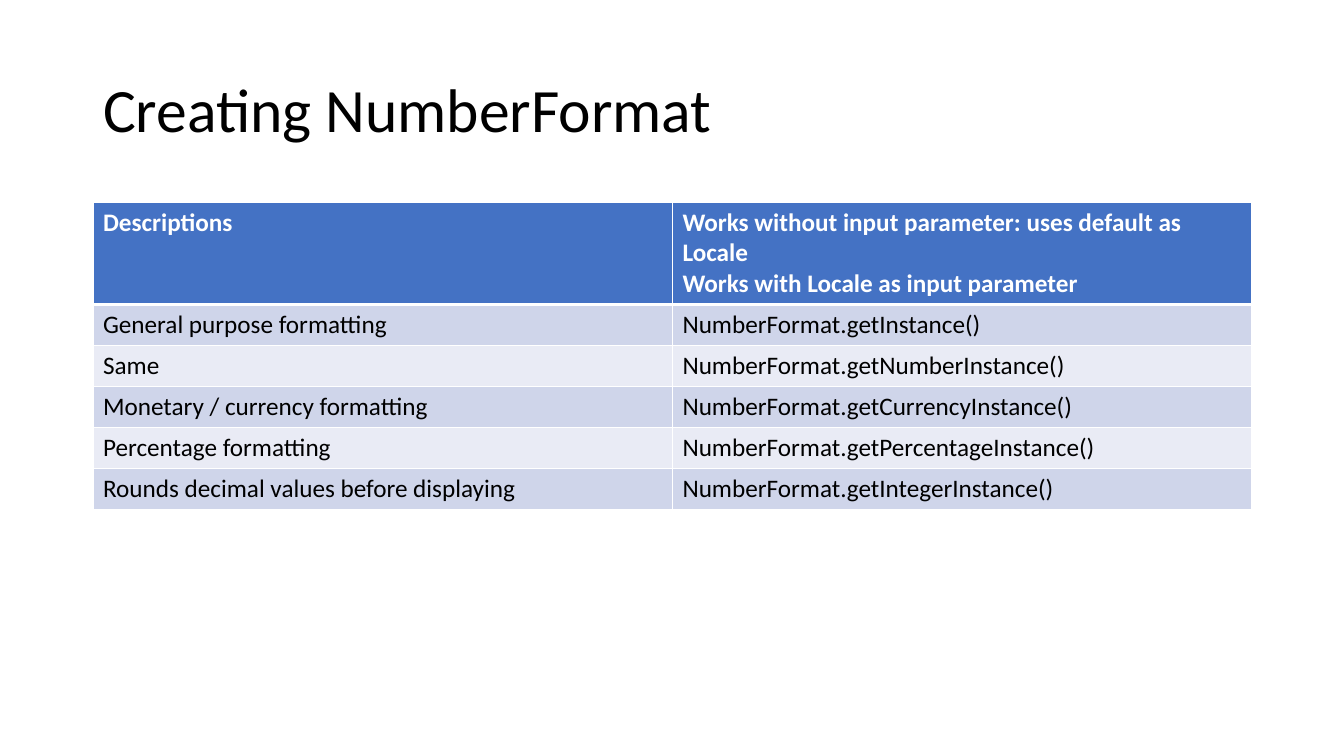
"""Build the slide on creating NumberFormat instances."""
import dataclasses

import lxml.etree
import pptx
import pptx.dml.color
import pptx.enum.text
import pptx.oxml.ns
import pptx.util

EMU_PER_PIXEL = 914400 / 100.8

HEADINGS = (
    "Descriptions",
    "Works without input parameter: uses default as Locale\n"
    "Works with Locale as input parameter",
)
FACTORY_METHODS = (
    ("General purpose formatting", "NumberFormat.getInstance()"),
    ("Same ", "NumberFormat.getNumberInstance()"),
    ("Monetary / currency formatting", "NumberFormat.getCurrencyInstance()"),
    ("Percentage formatting", "NumberFormat.getPercentageInstance()"),
    ("Rounds decimal values before displaying", "NumberFormat.getIntegerInstance()"),
)


@dataclasses.dataclass(frozen=True)
class Theme:
    """Colours, font and type sizes of the slide."""
    font: str = "Calibri"
    title_size: int = 44
    table_size: int = 18
    ink: str = "000000"
    paper: str = "FFFFFF"
    header: str = "4472C4"
    bands: tuple = ("CFD5EA", "E9EBF5")
    rule: int = 1
    header_rule: int = 3


THEME = Theme()


def px(pixels):
    """Turn pixels into EMU."""
    return pptx.util.Emu(round(pixels * EMU_PER_PIXEL))


def rgb(colour):
    """Turn a hex string into a colour."""
    return pptx.dml.color.RGBColor.from_string(colour)


def format_text(frame, size, colour, bold=False):
    """Format every run of a text frame alike."""
    for paragraph in frame.paragraphs:
        for run in paragraph.runs:
            run.font.name = THEME.font
            run.font.size = pptx.util.Pt(size)
            run.font.bold = bold
            run.font.color.rgb = rgb(colour)


def add_border(cell, side, width):
    """Draw a solid border on one side of a cell."""
    qn = pptx.oxml.ns.qn
    properties = cell._tc.get_or_add_tcPr()
    line = lxml.etree.SubElement(properties, qn(f"a:ln{side}"), w=str(pptx.util.Pt(width)))
    fill = lxml.etree.SubElement(line, qn("a:solidFill"))
    lxml.etree.SubElement(fill, qn("a:srgbClr"), val=THEME.paper)


def add_title(slide, text):
    """Place and format the title placeholder."""
    title = slide.shapes.title
    title.left, title.top, title.width, title.height = map(px, (93, 40, 1159, 146))
    frame = title.text_frame
    frame.text = text
    frame.word_wrap = True
    frame.vertical_anchor = pptx.enum.text.MSO_ANCHOR.MIDDLE
    frame.paragraphs[0].alignment = pptx.enum.text.PP_ALIGN.LEFT
    frame.paragraphs[0].line_spacing = 0.9
    format_text(frame, THEME.title_size, THEME.ink)


def fill_cell(cell, text, row):
    """Write one table cell in the style of its row."""
    is_header = row == 0
    cell.text_frame.text = text
    format_text(cell.text_frame, THEME.table_size,
                THEME.paper if is_header else THEME.ink, is_header)
    widths = {
        "L": THEME.rule,
        "R": THEME.rule,
        "T": THEME.header_rule if row == 1 else THEME.rule,
        "B": THEME.header_rule if is_header else THEME.rule,
    }
    for side, width in widths.items():
        add_border(cell, side, width)
    cell.fill.solid()
    cell.fill.fore_color.rgb = rgb(THEME.header if is_header else THEME.bands[(row - 1) % 2])


def add_method_table(slide):
    """Add the table of descriptions and factory methods."""
    content = (HEADINGS, *FACTORY_METHODS)
    table = slide.shapes.add_table(
        len(content), len(HEADINGS), px(93), px(202), px(1159), px(306)).table
    for row, texts in enumerate(content):
        table.rows[row].height = px(41 if row else 101)
        for column, text in enumerate(texts):
            fill_cell(table.cell(row, column), text, row)


def main():
    """Build and save the slide."""
    deck = pptx.Presentation()
    deck.slide_width, deck.slide_height = px(1344), px(756)
    slide = deck.slides.add_slide(deck.slide_layouts.get_by_name("Title Only"))
    add_title(slide, "Creating NumberFormat")
    add_method_table(slide)
    deck.save("out.pptx")


main()
